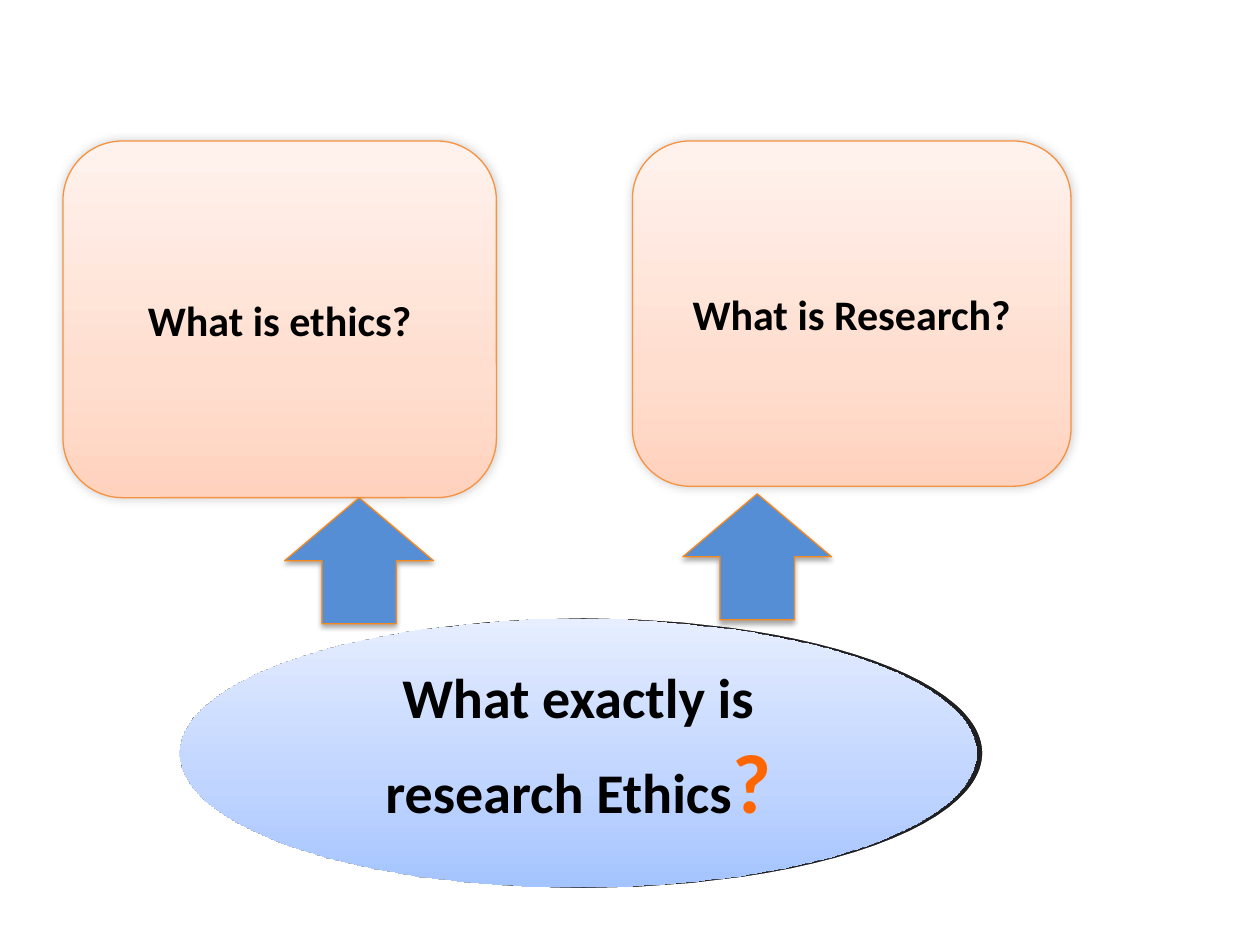
from typing import NamedTuple

from lxml import etree
from pptx import Presentation
from pptx.dml.color import RGBColor
from pptx.enum.shapes import MSO_SHAPE as Shape
from pptx.enum.text import MSO_ANCHOR as Anchor, PP_ALIGN as Align
from pptx.oxml.ns import qn
from pptx.util import Pt

FONT = "Calibri"
BLACK = RGBColor(0x00, 0x00, 0x00)
ORANGE = RGBColor(0xFF, 0x66, 0x00)
BLUE = RGBColor(0x55, 0x8E, 0xD5)
ELLIPSE_LINE = RGBColor(0x4B, 0x7E, 0xBC)
BOX_LINE = RGBColor(0xF6, 0x92, 0x40)
ARROW_LINE = RGBColor(0xF4, 0x89, 0x1E)
BLUES = (RGBColor(0xA4, 0xC4, 0xFF), RGBColor(0xBF, 0xD4, 0xFF), RGBColor(0xE6, 0xEE, 0xFF))
PEACHES = (RGBColor(0xFF, 0xD2, 0xBD), RGBColor(0xFF, 0xDE, 0xD0), RGBColor(0xFF, 0xF2, 0xED))
STOPS = (0, 35, 100)


class Frame(NamedTuple):
    left: float
    top: float
    width: float
    height: float


class Shadow(NamedTuple):
    opacity: int
    blur: float
    dist: float
    angle: int


class Run(NamedTuple):
    text: str
    size: float
    color: RGBColor = BLACK


class Box(NamedTuple):
    frame: Frame
    text: str


ELLIPSE_SHADOW = Shadow(40, 4, 3, 0)
BOX_SHADOW = Shadow(20, 6, 0, 315)
ARROW_SHADOW = Shadow(35, 3.1, 1.8, 90)

QUESTION = Frame(103.7, 332.6, 453.6, 187.9)
BOXES = (
    Box(Frame(36, 80.6, 247.7, 203.8), "What is ethics?"),
    Box(Frame(361.4, 80.6, 250.6, 197.3), "What is Research?"),
)
ARROWS = (Frame(162.7, 284.4, 85, 72), Frame(390.2, 282.2, 85, 72))


def add_shape(s, kind: Shape, frame: Frame, line: RGBColor, shadow: Shadow):
    sp = s.shapes.add_shape(kind, *(Pt(v) for v in frame))
    sp.line.color.rgb = line
    sp.line.width = Pt(0.75)
    sp.shadow.inherit = False
    effects = sp._element.spPr.find(qn("a:effectLst"))
    outer = etree.SubElement(
        effects, qn("a:outerShdw"), blurRad=str(Pt(shadow.blur)),
        dist=str(Pt(shadow.dist)), dir=str(shadow.angle * 60000), rotWithShape="0")
    color = etree.SubElement(outer, qn("a:srgbClr"), val=str(BLACK))
    etree.SubElement(color, qn("a:alpha"), val=str(shadow.opacity * 1000))
    return sp


def fill_gradient(sp, colors: tuple) -> None:
    sp.fill.gradient()
    sp.fill.gradient_angle = 90
    stops = sp._element.spPr.find(qn("a:gradFill")).find(qn("a:gsLst"))
    for old in list(stops):
        stops.remove(old)
    for pos, color in zip(STOPS, colors):
        stop = etree.SubElement(stops, qn("a:gs"), pos=str(pos * 1000))
        etree.SubElement(stop, qn("a:srgbClr"), val=str(color))


def tilt_back(sp) -> None:
    scene = etree.SubElement(sp._element.spPr, qn("a:scene3d"))
    etree.SubElement(scene, qn("a:camera"), prst="perspectiveRelaxedModerately")
    etree.SubElement(scene, qn("a:lightRig"), rig="threePt", dir="t")


def write(sp, *runs: Run) -> None:
    tf = sp.text_frame
    tf.word_wrap = True
    tf.vertical_anchor = Anchor.MIDDLE
    p = tf.paragraphs[0]
    p.alignment = Align.CENTER
    for run in runs:
        r = p.add_run()
        r.text = run.text
        r.font.name = FONT
        r.font.size = Pt(run.size)
        r.font.bold = True
        r.font.color.rgb = run.color


def main() -> None:
    prs = Presentation()
    prs.slide_width, prs.slide_height = Pt(720), Pt(540)
    s = prs.slides.add_slide(prs.slide_layouts[6])

    # Main question
    sp = add_shape(s, Shape.OVAL, QUESTION, ELLIPSE_LINE, ELLIPSE_SHADOW)
    fill_gradient(sp, BLUES)
    tilt_back(sp)
    write(sp, Run("What exactly is research Ethics", 32), Run("?", 48, ORANGE))

    # The two questions it leads to
    for box in BOXES:
        sp = add_shape(s, Shape.ROUNDED_RECTANGLE, box.frame, BOX_LINE, BOX_SHADOW)
        fill_gradient(sp, PEACHES)
        write(sp, Run(box.text, 24))

    # Arrows pointing up to the boxes
    for frame in ARROWS:
        sp = add_shape(s, Shape.DOWN_ARROW, frame, ARROW_LINE, ARROW_SHADOW)
        sp.rotation = 180
        sp.fill.solid()
        sp.fill.fore_color.rgb = BLUE

    prs.save("out.pptx")


if __name__ == "__main__":
    main()
